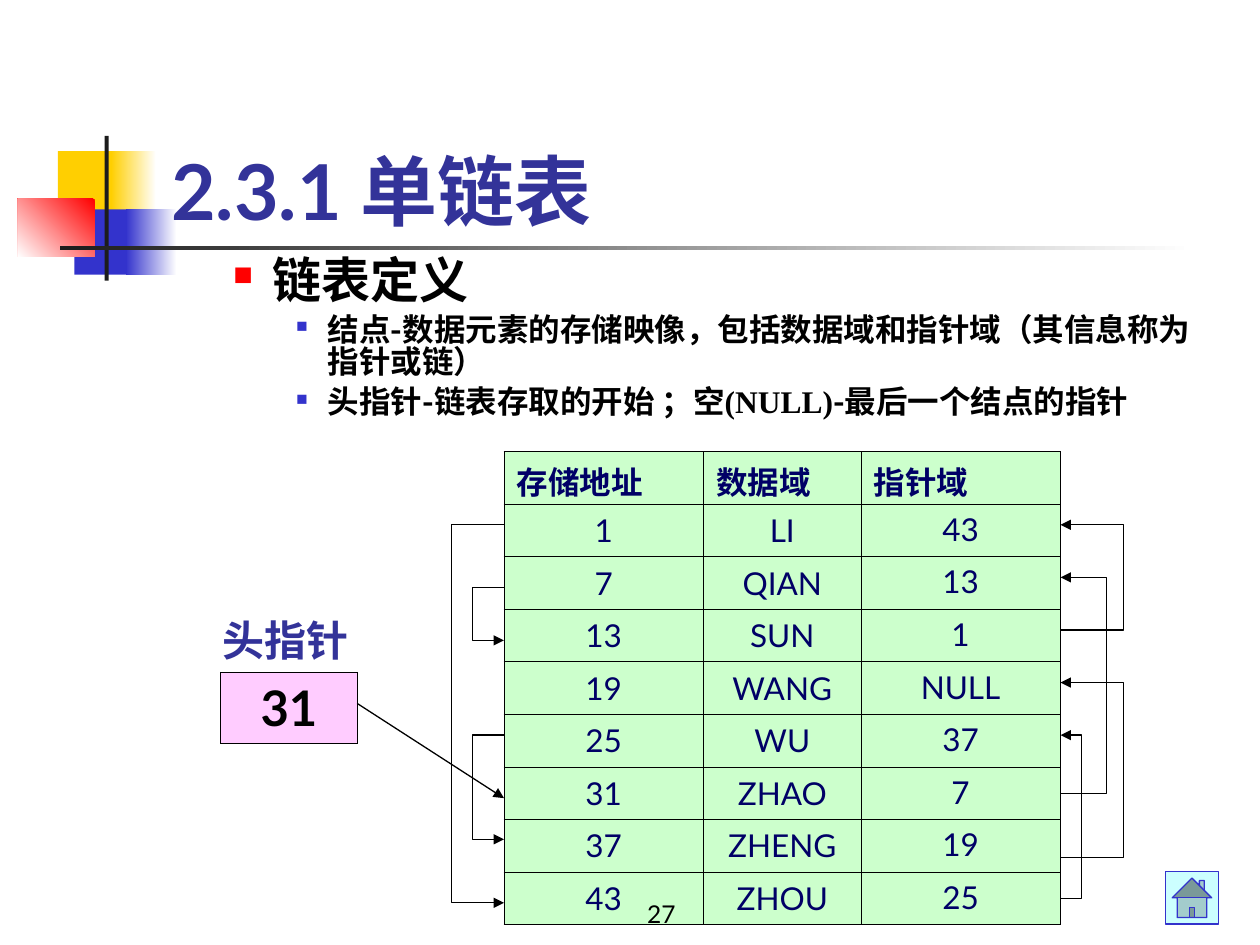
import pptx
import pptx.util
import pptx.dml.color
import pptx.enum.shapes
import pptx.enum.text
import pptx.oxml
import pptx.oxml.ns

Cm, Pt = pptx.util.Cm, pptx.util.Pt
Kind = pptx.enum.shapes.MSO_SHAPE
Align = pptx.enum.text.PP_ALIGN
Anchor = pptx.enum.text.MSO_ANCHOR
NS = pptx.oxml.ns.nsdecls("a")
CJK, LATO, TIMES = "Noto Sans CJK SC", "Lato", "Times New Roman"

# Content
TITLE = "2.3.1 单链表"
BODY = [
    (1, [("链表定义", CJK)]),
    (2, [("结点", TIMES), ("-数据元素的存储映像，包括", CJK), ("数据域", TIMES),
         ("和", CJK), ("指针域", TIMES), ("（其信息称为", CJK), ("指针", TIMES),
         ("或", CJK), ("链", TIMES), ("）", CJK)]),
    (2, [("头指针", TIMES), ("-链表存取的开始 ；", CJK), ("空(NULL)", TIMES),
         ("-", CJK), ("最后一个结点的指针", TIMES)]),
]
NODES = [
    ("存储地址", "数据域", "指针域"),
    ("1", "LI", "43"), ("7", "QIAN", "13"), ("13", "SUN", "1"),
    ("19", "WANG", "NULL"), ("25", "WU", "37"), ("31", "ZHAO", "7"),
    ("37", "ZHENG", "19"), ("43", "ZHOU", "25"),
]

# Level formats: size, indent, hanging, space before, bullet colour and size
LEVELS = {1: (28, 2.06, 0.79, 7, "FF0000", 55),
          2: (18, 3.18, 0.64, 4.5, "3333CC", 50)}

# Corner blocks and rules: box, colours from start to end, angle
DECOR = [
    ((1.17, 3.05, 1.22, 1.32), ["FFCF01"], 0),
    ((2.24, 3.05, 0.91, 1.32), ["FFFFFF", "FFCF01"], 180),
    ((1.5, 4.22, 1.17, 1.32), ["3333CC"], 0),
    ((2.54, 4.22, 1.02, 1.32), ["FFFFFF", "3333CC"], 180),
    ((0.36, 4.01, 1.55, 1.17), ["FF0000", "FFFFFF"], 225),
    ((2.11, 2.74, 0.08, 2.92), ["1C1C1C"], 0),
    ((1.22, 4.95, 22.86, 0.09), ["FFFFFF", "1C1C1C"], 180),
]

# Pointer paths: table edge, bend, start height, end height
LEFT, RIGHT = 10.16, 21.38
LINKS = [
    (RIGHT, 22.31, 16, 11.64), (LEFT, 9.53, 11.85, 12.91),
    (RIGHT, 22.65, 12.7, 10.58), (LEFT, 9.1, 10.58, 18.2),
    (RIGHT, 21.8, 18.12, 14.82), (LEFT, 9.53, 14.82, 16.92),
    (RIGHT, 22.65, 17.28, 13.76),
]


def rgb(code):
    return pptx.dml.color.RGBColor.from_string(code)


def put(obj, **vals):
    for name, val in vals.items():
        setattr(obj, name, val)


def write(para, text, face, size, hue, bold=False):
    run = para.add_run()
    run.text = text
    put(run.font, name=face, size=Pt(size), bold=bold)
    run.font.color.rgb = rgb(hue)
    run.font._element.append(
        pptx.oxml.parse_xml(f'<a:ea {NS} typeface="{CJK}"/>'))


def box(rect, **vals):
    shape = slide.shapes.add_textbox(*map(Cm, rect))
    put(shape.text_frame, **{"word_wrap": True, **vals})
    return shape.text_frame


def stroke(shape, hue="000000"):
    shape.line.color.rgb = rgb(hue)
    shape.line.width = Pt(0.75)


def point(shape):
    stroke(shape)
    shape.line._get_or_add_ln().append(
        pptx.oxml.parse_xml(f'<a:tailEnd {NS} type="triangle"/>'))


def grid(x, y, cols, tall, rows, hue):
    """Add a bordered table and yield each cell with its place and text."""
    table = slide.shapes.add_table(len(rows), len(cols), Cm(x), Cm(y),
                                   Cm(sum(cols)), Cm(tall * len(rows))).table
    put(table, first_row=False, horz_banding=False)
    for col, wide in zip(table.columns, cols):
        col.width = Cm(wide)
    for i, row in enumerate(rows):
        table.rows[i].height = Cm(tall)
        for j, text in enumerate(row):
            cell = table.cell(i, j)
            for side in "LRTB":
                cell._tc.get_or_add_tcPr().append(pptx.oxml.parse_xml(
                    f'<a:ln{side} {NS} w="5715"><a:solidFill>'
                    f'<a:srgbClr val="000000"/></a:solidFill></a:ln{side}>'))
            cell.fill.solid()
            cell.fill.fore_color.rgb = rgb(hue)
            yield i, text, cell


deck = pptx.Presentation()
put(deck, slide_width=Cm(25.4), slide_height=Cm(19.05))
slide = deck.slides.add_slide(deck.slide_layouts[5])

# Corner blocks and rules
for rect, hues, angle in DECOR:
    block = slide.shapes.add_shape(Kind.RECTANGLE, *map(Cm, rect))
    block.shadow.inherit = False
    block.line.fill.background()
    if len(hues) == 1:
        block.fill.solid()
        block.fill.fore_color.rgb = rgb(hues[0])
    else:
        block.fill.gradient()
        block.fill.gradient_angle = angle
        for stop, hue in zip(block.fill.gradient_stops, hues):
            stop.color.rgb = rgb(hue)

# Title, in front of the blocks
title = slide.shapes.title
slide.shapes._spTree.append(title._element)
put(title, left=Cm(3.2), top=Cm(1.7), width=Cm(21.64), height=Cm(3.18))
put(title.text_frame, vertical_anchor=Anchor.BOTTOM, word_wrap=True)
head = title.text_frame.paragraphs[0]
head.alignment = Align.LEFT
write(head, TITLE, LATO, 44, "333399", True)

# Definition list
frame = box((3.18, 5.08, 21.59, 11.43))
for n, (level, runs) in enumerate(BODY):
    size, left, hang, gap, hue, part = LEVELS[level]
    para = frame.add_paragraph() if n else frame.paragraphs[0]
    put(para, level=level - 1, line_spacing=0.85)
    if n:
        para.space_before = Pt(gap)
    props = para._p.get_or_add_pPr()
    props.set("marL", str(Cm(left)))
    props.set("indent", str(-Cm(hang)))
    for tag in (f'<a:buClr {NS}><a:srgbClr val="{hue}"/></a:buClr>',
                f'<a:buSzPct {NS} val="{part * 1000}"/>',
                f'<a:buChar {NS} char="■"/>'):
        props.append(pptx.oxml.parse_xml(tag))
    for text, face in runs:
        write(para, text, face, size, "000000", True)

# Node tables: data with pointer, then address
for x, cols, cut in ((14.18, (3.18, 4.01), slice(1, 3)),
                     (LEFT, (4.02,), slice(0, 1))):
    rows = [node[cut] for node in NODES]
    for i, text, cell in grid(x, 9.1, cols, 1.06, rows, "CCFFCC"):
        para = cell.text_frame.paragraphs[0]
        write(para, text, LATO, 18, "000066", i == 0)
        if i:
            para.alignment = Align.CENTER
            last = text == NODES[i][2] and cut.start == 1
            cell.vertical_anchor = Anchor.TOP if last else Anchor.MIDDLE

# Head pointer
for i, text, cell in grid(4.45, 13.55, (2.75,), 1.44, [("31",)], "FFCCFF"):
    para = cell.text_frame.paragraphs[0]
    para.alignment = Align.CENTER
    write(para, text, LATO, 28, "000000", True)
label = box((4.24, 12.27, 3.05, 1.27), word_wrap=False)
write(label.paragraphs[0], "头指针", TIMES, 24, "333399", True)
arrow = slide.shapes.add_connector(
    pptx.enum.shapes.MSO_CONNECTOR.STRAIGHT,
    *map(Cm, (7.2, 14.18, LEFT, 16.09)))
point(arrow)
arrow._element.spPr.append(pptx.oxml.parse_xml(f'<a:effectLst {NS}/>'))

# Links between nodes
for edge, bend, start, end in LINKS:
    path = slide.shapes.build_freeform(Cm(edge), Cm(start))
    path.add_line_segments([(Cm(bend), Cm(start)), (Cm(bend), Cm(end)),
                            (Cm(edge), Cm(end))], close=False)
    link = path.convert_to_shape()
    link.shadow.inherit = False
    link.fill.background()
    point(link)

# Home button and page number
home = slide.shapes.add_shape(Kind.ACTION_BUTTON_HOME,
                              *map(Cm, (23.5, 17.57, 1.06, 1.06)))
home.shadow.inherit = False
home.fill.solid()
home.fill.fore_color.rgb = rgb("CCFFFF")
stroke(home, "3333CC")
page = box((10.69, 17.57, 5.29, 1.27), vertical_anchor=Anchor.BOTTOM)
page.paragraphs[0].alignment = Align.CENTER
write(page.paragraphs[0], "27", LATO, 14, "000000")

deck.save("out.pptx")
